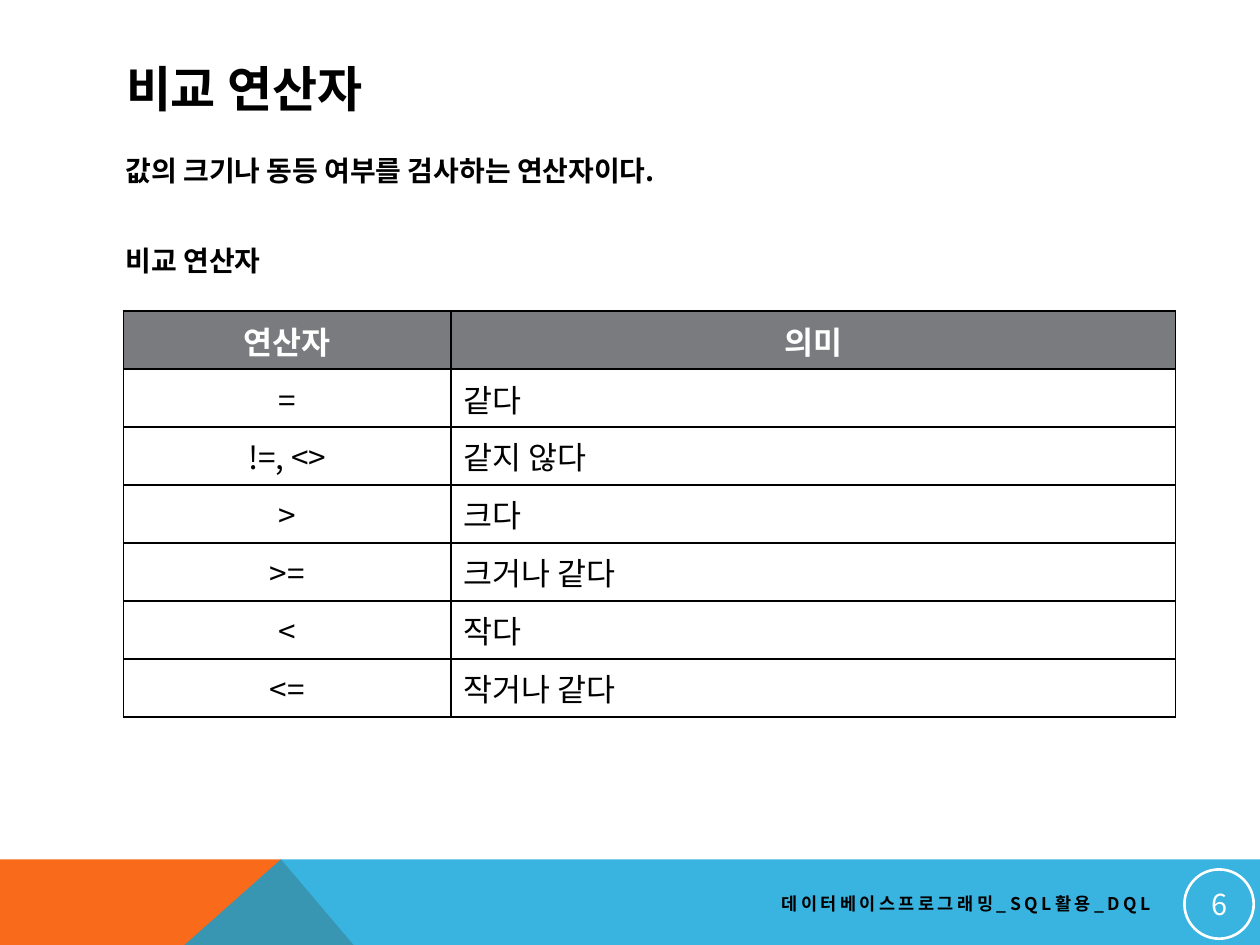
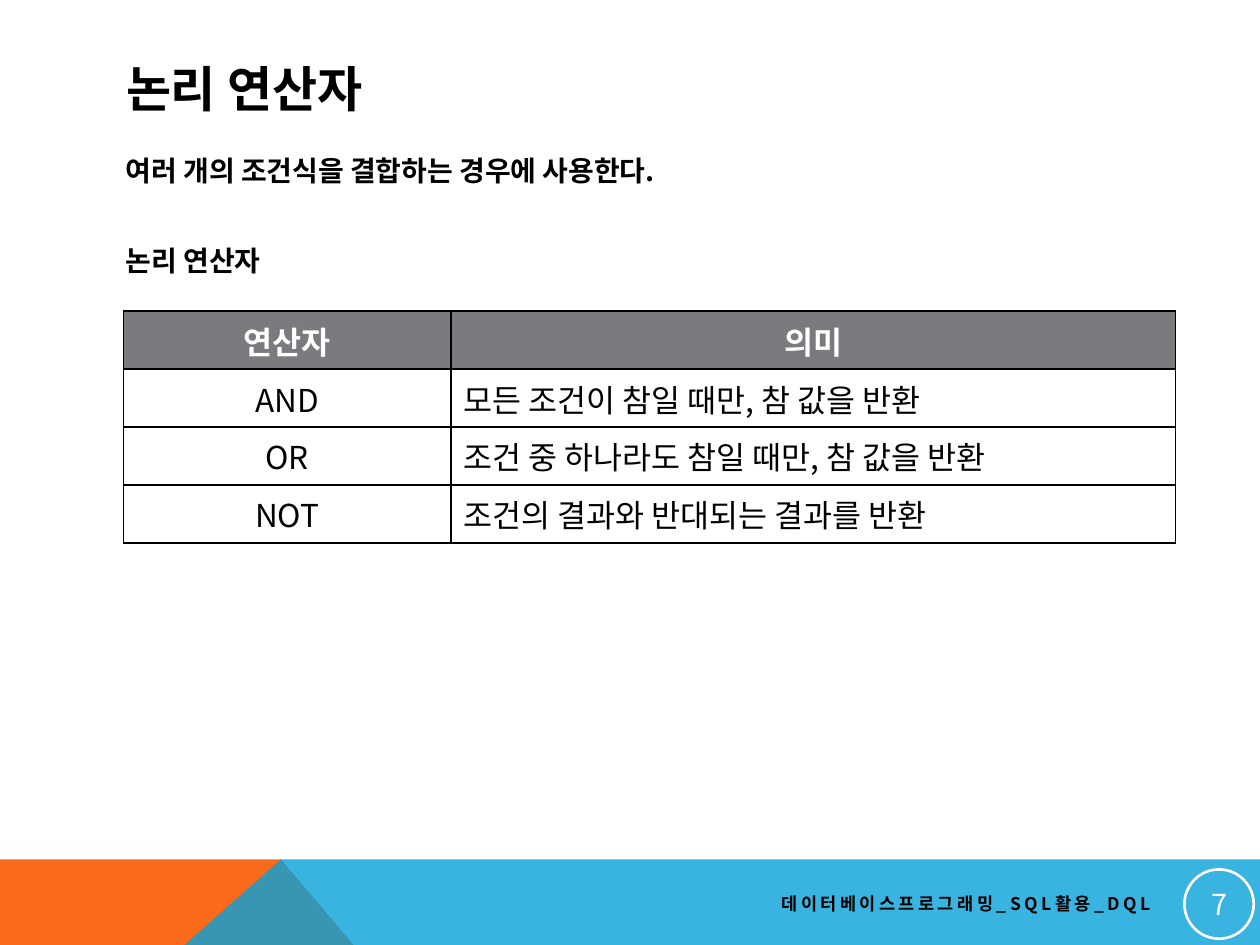
from dataclasses import dataclass

import pptx
import pptx.dml.color
import pptx.enum.shapes
import pptx.enum.text
import pptx.oxml
import pptx.oxml.ns
import pptx.util
from lxml import etree

Inches = pptx.util.Inches
Pt = pptx.util.Pt
Align = pptx.enum.text.PP_ALIGN
Middle = pptx.enum.text.MSO_ANCHOR.MIDDLE
qn = pptx.oxml.ns.qn


@dataclass(frozen=True)
class Theme:
    font: str = "Noto Sans CJK KR"
    ink: str = "000000"
    paper: str = "FFFFFF"
    orange: str = "F96A1B"
    blue: str = "08A1D9"
    header: str = "797B7E"
    blue_opacity: int = 80
    title_size: float = 28
    body_size: float = 16
    table_size: float = 18
    footer_size: float = 10
    number_size: float = 16.5
    footer_tracking: float = 2
    border_width: float = 1
    ring_width: float = 1.5


@dataclass(frozen=True)
class Operator:
    symbol: str
    meaning: str


@dataclass(frozen=True)
class OperatorSlide:
    number: int
    title: str
    summary: str
    operators: tuple[Operator, ...]


THEME = Theme()
FOOTER = "데이터베이스프로그래밍_SQL활용_DQL"
HEADINGS = Operator("연산자", "의미")
COLUMN_WIDTHS = (2.6, 5.75)
ROW_HEIGHT = 0.46
SLIDE_WIDTH, SLIDE_HEIGHT = 10, 7.5
BAND_TOP, BAND_BOTTOM, BAND_PEAK = 6.82, 8.8, 2.23

SLIDES = (
    OperatorSlide(6, "비교 연산자", "값의 크기나 동등 여부를 검사하는 연산자이다.", (
        Operator("=", "같다"),
        Operator("!=, <>", "같지 않다"),
        Operator(">", "크다"),
        Operator(">=", "크거나 같다"),
        Operator("<", "작다"),
        Operator("<=", "작거나 같다"),
    )),
    OperatorSlide(7, "논리 연산자", "여러 개의 조건식을 결합하는 경우에 사용한다.", (
        Operator("AND", "모든 조건이 참일 때만, 참 값을 반환"),
        Operator("OR", "조건 중 하나라도 참일 때만, 참 값을 반환"),
        Operator("NOT", "조건의 결과와 반대되는 결과를 반환"),
    )),
)


def rgb(color: str) -> pptx.dml.color.RGBColor:
    return pptx.dml.color.RGBColor.from_string(color)


def style(paragraph, size: float, color: str = THEME.ink, bold: bool = False,
          align: Align = Align.LEFT, tracking: float = 0) -> None:
    paragraph.alignment = align
    font = paragraph.font
    font.size, font.bold, font.name = Pt(size), bold, THEME.font
    font.color.rgb = rgb(color)
    if tracking:
        properties = paragraph._p.pPr.find(qn("a:defRPr"))
        properties.set("spc", str(round(tracking * 100)))


def add_text_box(slide, left: float, top: float, width: float, height: float):
    box = slide.shapes.add_textbox(Inches(left), Inches(top), Inches(width), Inches(height))
    box.text_frame.word_wrap = True
    return box.text_frame


def add_band(slide, layout, points: list[tuple[float, float]], color: str,
             opacity: int = 100) -> None:
    """Draw a band and move it to the layout, so that every slide shows it."""
    corners = [(Inches(x), Inches(y)) for x, y in points]
    builder = slide.shapes.build_freeform(*corners[0])
    builder.add_line_segments(corners[1:], close=True)
    band = builder.convert_to_shape()
    band.shadow.inherit = False
    band.line.fill.background()
    band.fill.solid()
    band.fill.fore_color.rgb = rgb(color)
    if opacity < 100:
        tint = band.element.spPr.find(f"{qn('a:solidFill')}/{qn('a:srgbClr')}")
        etree.SubElement(tint, qn("a:alpha"), val=str(opacity * 1000))
    layout.shapes.element.append(band.element)


def add_bands(slide, layout) -> None:
    """Add the orange band and the blue one over it, both bleeding off the bottom edge."""
    add_band(slide, layout, [(0, BAND_BOTTOM), (0, BAND_TOP), (BAND_PEAK, BAND_TOP),
                             (3.91, BAND_BOTTOM)], THEME.orange)
    add_band(slide, layout, [(0, BAND_BOTTOM), (BAND_PEAK, BAND_TOP),
                             (SLIDE_WIDTH, BAND_TOP), (SLIDE_WIDTH, BAND_BOTTOM)],
             THEME.blue, THEME.blue_opacity)


def add_title(slide, text: str) -> None:
    title = slide.shapes.title
    title.left, title.top = Inches(0.9), Inches(0.4)
    title.width, title.height = Inches(8.22), Inches(0.6)
    title.text_frame.text = text
    title.text_frame.vertical_anchor = Middle
    style(title.text_frame.paragraphs[0], THEME.title_size, bold=True)


def add_summary(slide, summary: str, caption: str) -> None:
    frame = add_text_box(slide, 0.9, 1.2, 8.22, 1.21)
    frame.text = f"{summary}\n{caption}"
    for paragraph in frame.paragraphs:
        paragraph.line_spacing = 0.9
        style(paragraph, THEME.body_size, bold=True)
    frame.paragraphs[1].space_before = Pt(34)


def add_footer(slide, number: int) -> None:
    footer = add_text_box(slide, 4.06, 7.02, 5.17, 0.3)
    footer.text = FOOTER
    footer.vertical_anchor = Middle
    style(footer.paragraphs[0], THEME.footer_size, bold=True, align=Align.RIGHT,
          tracking=THEME.footer_tracking)

    ring = slide.shapes.add_shape(pptx.enum.shapes.MSO_SHAPE.OVAL, Inches(9.4), Inches(6.9),
                                  Inches(0.55), Inches(0.55))
    ring.shadow.inherit = False
    ring.fill.background()
    ring.line.color.rgb = rgb(THEME.paper)
    ring.line.width = Pt(THEME.ring_width)
    frame = ring.text_frame
    frame.margin_left = frame.margin_right = Inches(0.01)
    frame.margin_top = frame.margin_bottom = Inches(0.01)
    frame.vertical_anchor = Middle
    frame.text = str(number)
    style(frame.paragraphs[0], THEME.number_size, THEME.paper, align=Align.CENTER)


def add_borders(cell) -> None:
    properties = cell._tc.get_or_add_tcPr()
    for side in ("lnL", "lnR", "lnT", "lnB"):
        border = etree.SubElement(properties, qn(f"a:{side}"), w=str(Pt(THEME.border_width)))
        fill = etree.SubElement(border, qn("a:solidFill"))
        etree.SubElement(fill, qn("a:srgbClr"), val=THEME.ink)


def add_operator_table(slide, operators: tuple[Operator, ...]) -> None:
    rows = (HEADINGS, *operators)
    table = slide.shapes.add_table(
        len(rows), len(COLUMN_WIDTHS), Inches(0.98), Inches(2.47),
        Inches(sum(COLUMN_WIDTHS)), Inches(ROW_HEIGHT * len(rows))).table
    table.horz_banding = False
    for column, width in zip(table.columns, COLUMN_WIDTHS):
        column.width = Inches(width)
    for row_index, operator in enumerate(rows):
        table.rows[row_index].height = Inches(ROW_HEIGHT)
        is_header = row_index == 0
        for column_index, text in enumerate((operator.symbol, operator.meaning)):
            cell = table.cell(row_index, column_index)
            cell.text = text
            cell.vertical_anchor = Middle
            add_borders(cell)
            cell.fill.solid()
            cell.fill.fore_color.rgb = rgb(THEME.header if is_header else THEME.paper)
            centred = is_header or column_index == 0
            style(cell.text_frame.paragraphs[0], THEME.table_size,
                  THEME.paper if is_header else THEME.ink, bold=is_header,
                  align=Align.CENTER if centred else Align.LEFT)


def main() -> None:
    deck = pptx.Presentation()
    deck.slide_width, deck.slide_height = Inches(SLIDE_WIDTH), Inches(SLIDE_HEIGHT)
    title_only = deck.slide_layouts[5]
    for content in SLIDES:
        slide = deck.slides.add_slide(title_only)
        add_title(slide, content.title)
        add_summary(slide, content.summary, content.title)
        add_footer(slide, content.number)
        add_operator_table(slide, content.operators)
    add_bands(deck.slides[0], title_only)
    deck.save("out.pptx")


if __name__ == "__main__":
    main()
